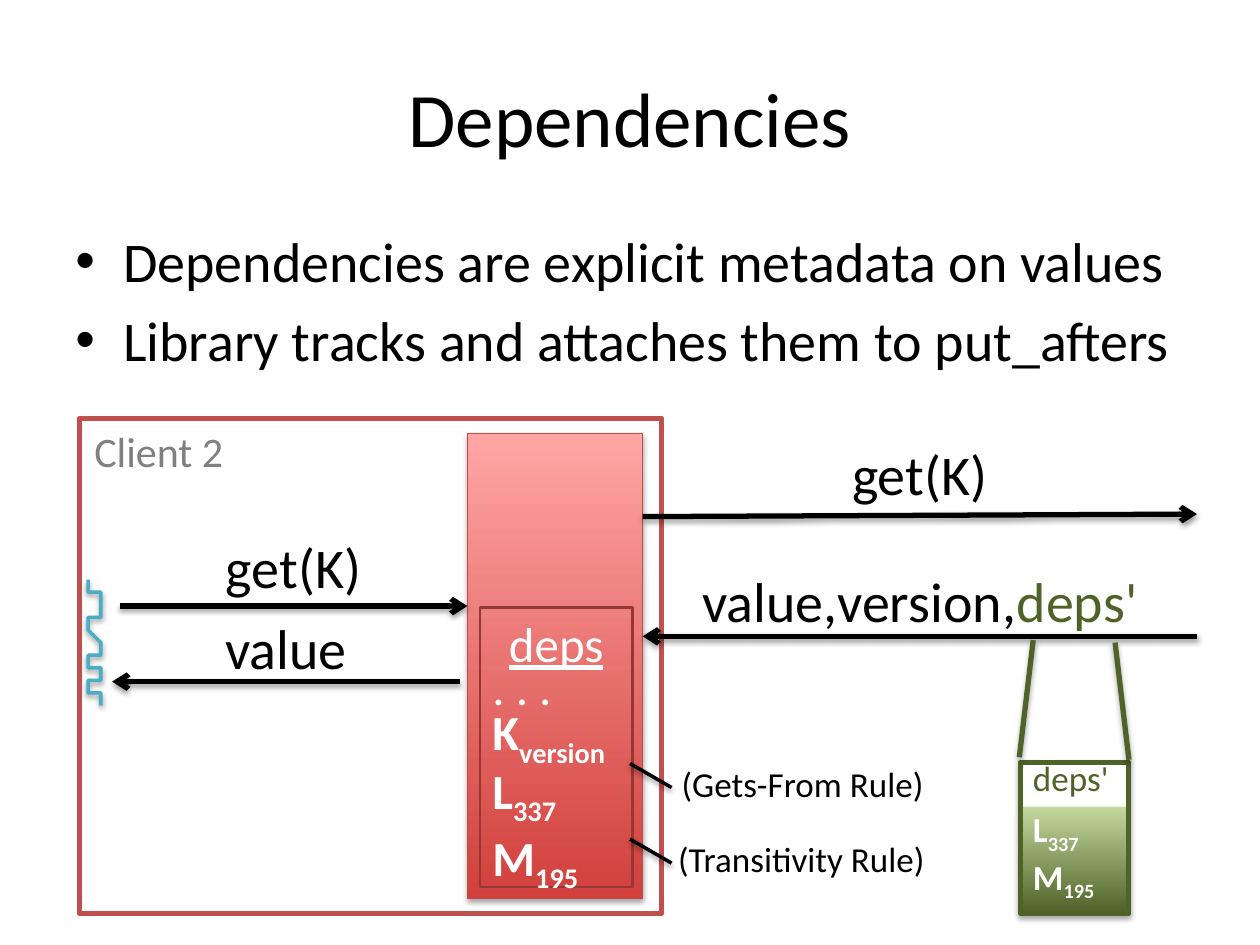
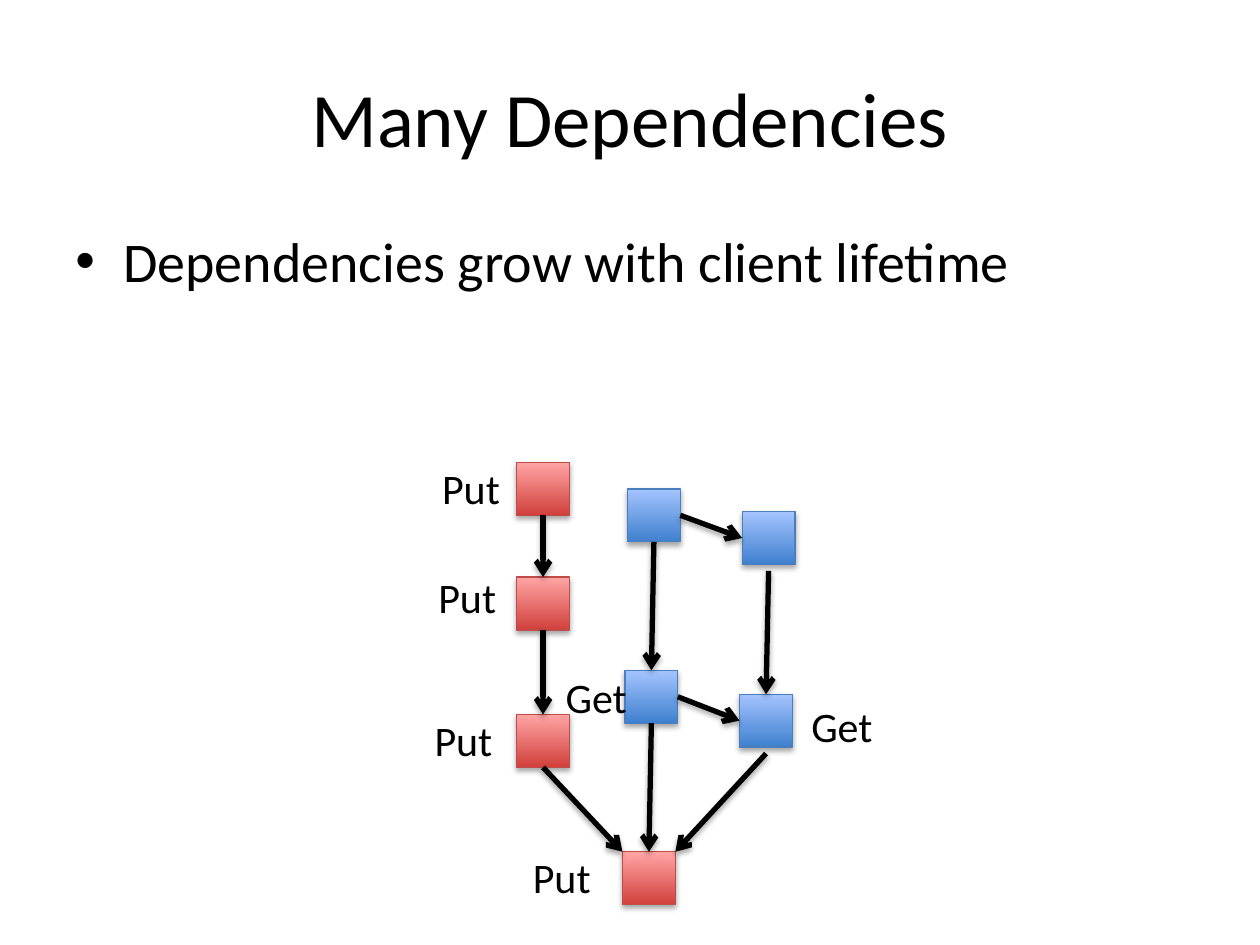
from lxml import etree
from pptx import Presentation
from pptx import util as u
from pptx.dml.color import RGBColor
from pptx.enum import shapes, text
from pptx.oxml.ns import qn

COLORS = {
    "black": "000000", "white": "FFFFFF", "gray": "808080",
    "client": "C0504D", "deps": "953735", "thread": "4BACC6",
    "red_edge": "BF4C48", "red_dark": "D1403C", "red_light": "FFA6A5",
    "blue_edge": "4B7EBC", "blue_dark": "3F80CE", "blue_light": "A4C4FF",
    "green": "4F6228", "green_light": "C3D69B",
}
GRADIENTS = {
    "red": [(0, "red_dark"), (100, "red_light")],
    "blue": [(0, "blue_dark"), (100, "blue_light")],
    "green": [(0, "green"), (70, "green_light"), (71, "white")],
}
FONT = "Calibri"
CENTER = {"alignment": text.PP_ALIGN.CENTER}
LEFT = {"alignment": text.PP_ALIGN.LEFT}
SUB = {"baseline": "-25000"}

presentation = Presentation()
presentation.slide_width = u.Inches(10)
presentation.slide_height = u.Inches(7.5)
COLUMN = presentation.slide_width // 100
ROW = presentation.slide_height // 75


def write(frame, paragraphs, size, color="black", anchor=text.MSO_ANCHOR.TOP):
    frame.word_wrap = True
    frame.vertical_anchor = anchor
    for index, (layout, runs) in enumerate(paragraphs):
        paragraph = frame.paragraphs[0] if index == 0 else frame.add_paragraph()
        for name, value in layout.items():
            setattr(paragraph, name, value)
        for words, extra in runs:
            run = paragraph.add_run()
            run.text = words
            values = {"name": FONT, "size": u.Pt(size), **extra}
            run.font.color.rgb = RGBColor.from_string(COLORS[values.pop("color", color)])
            if "baseline" in values:
                run.font._element.set("baseline", values.pop("baseline"))
            for name, value in values.items():
                setattr(run.font, name, value)


def style(shape, line, width, gradient=None, shadow=35, arrow=False):
    shape.line.color.rgb = RGBColor.from_string(COLORS[line])
    shape.line.width = u.Pt(width)
    properties = shape._element.spPr
    if gradient:
        shape.fill.gradient()
        shape.fill.gradient_angle = 90
        stops = next(properties.iter(qn("a:gsLst")))
        for stop in list(stops):
            stops.remove(stop)
        for position, color in GRADIENTS[gradient]:
            stop = etree.SubElement(stops, qn("a:gs"), pos=str(position * 1000))
            etree.SubElement(stop, qn("a:srgbClr"), val=COLORS[color])
    if arrow:
        etree.SubElement(shape.line._get_or_add_ln(), qn("a:tailEnd"), type="arrow")
    effects = etree.SubElement(properties, qn("a:effectLst"))
    if shadow:
        outer = etree.SubElement(effects, qn("a:outerShdw"), blurRad="40000",
                                 dist="23000" if shadow == 35 else "20000",
                                 dir="5400000", rotWithShape="0")
        color = etree.SubElement(outer, qn("a:srgbClr"), val=COLORS["black"])
        etree.SubElement(color, qn("a:alpha"), val=str(shadow * 1000))


pages = [
    ("Dependencies", ["Dependencies are explicit metadata on values",
                      "Library tracks and attaches them to put_afters"]),
    ("Many Dependencies", ["Dependencies grow with client lifetime"]),
]
slides = []
for heading, bullets in pages:
    slide = presentation.slides.add_slide(presentation.slide_layouts[5])
    slides.append(slide)
    title = slide.shapes.title
    box = {"left": 5 * COLUMN, "top": 3 * ROW, "width": 90 * COLUMN, "height": 12.5 * ROW}
    for name, value in box.items():
        setattr(title, name, int(value))
    write(title.text_frame, [(CENTER, [(heading, {})])], 44, anchor=text.MSO_ANCHOR.MIDDLE)
    body = slide.shapes.add_textbox(5 * COLUMN, int(17.5 * ROW), 90 * COLUMN, int(49.5 * ROW))
    write(body.text_frame, [({"space_before": u.Pt(6.4)}, [(line, {})]) for line in bullets], 32)
    for paragraph in body.text_frame.paragraphs:
        layout = paragraph._p.get_or_add_pPr()
        layout.set("marL", str(u.Inches(0.38)))
        layout.set("indent", str(-u.Inches(0.38)))
        etree.SubElement(layout, qn("a:buFont"), typeface="Arial")
        etree.SubElement(layout, qn("a:buChar"), char="•")

protocol, graph = slides

panels = {}
for name, left, top, width, height, line, weight, gradient, shadow in [
    ("client", 6.3, 33.2, 46.2, 39.3, "client", 3, None, 0),
    ("library", 37.1, 34.4, 13.9, 36.9, "red_edge", 0.75, "red", 35),
    ("deps", 38.1, 48.2, 12.1, 22.2, "deps", 1.5, None, 0),
    ("reply deps", 81, 60.5, 8.6, 12, "green", 3, "green", 35),
]:
    panel = protocol.shapes.add_shape(shapes.MSO_SHAPE.RECTANGLE, int(left * COLUMN), int(top * ROW),
                                      int(width * COLUMN), int(height * ROW))
    style(panel, line, weight, gradient, shadow)
    panels[name] = panel
panels["client"].fill.solid()
panels["client"].fill.fore_color.rgb = RGBColor.from_string(COLORS["white"])
panels["deps"].fill.background()

BOLD = {"bold": True}
tight = {**LEFT, "line_spacing": 0.7}
version, l_entry, m_entry = [
    [(key, BOLD), (number, {**BOLD, **SUB})]
    for key, number in [("K", "version"), ("L", "337"), ("M", "195")]
]
write(panels["deps"].text_frame, [
    (CENTER, [("deps", {"underline": True})]),
    (tight, [(". . .", {})]),
    (tight, version),
    (LEFT, l_entry),
    (LEFT, m_entry),
], 28, "white")
write(panels["reply deps"].text_frame, [
    (tight, [("deps'", {"color": "green"})]),
    ({**LEFT, "line_spacing": 1.2}, l_entry),
    (LEFT, m_entry),
], 20, "white")

for start_x, start_y, end_x, end_y, color, width, shadow, arrow in [
    (9.5, 48.1, 37.1, 48.1, "black", 3, 38, True),
    (36.5, 54.1, 8.9, 54.1, "black", 3, 38, True),
    (51, 41, 95, 40.8, "black", 3, 38, True),
    (95, 50.5, 51, 50.5, "black", 3, 38, True),
    (53.3, 62.5, 50, 60.6, "black", 2, 38, False),
    (53.3, 68.5, 50, 66.6, "black", 2, 38, False),
    (82, 50.8, 80.9, 60.1, "green", 3, 35, False),
    (88.5, 51, 89.6, 60.3, "green", 3, 35, False),
]:
    connector = protocol.shapes.add_connector(
        shapes.MSO_CONNECTOR.STRAIGHT, int(start_x * COLUMN), int(start_y * ROW),
        int(end_x * COLUMN), int(end_y * ROW))
    style(connector, color, width, shadow=shadow, arrow=arrow)

thread = [
    (6.9, 46.5), (7.6, 47.1), (8.4, 47.7), (8.4, 48.2), (8.4, 48.7), (7, 49.1), (6.9, 49.6),
    (6.9, 50.2), (8.2, 50.9), (8.2, 51.4), (8.3, 51.9), (7.1, 52.2), (7.1, 52.6),
    (7.1, 53), (8.1, 53.5), (8.1, 53.8), (8.1, 54.2), (7.1, 54.2), (7.1, 54.5),
    (7, 54.8), (7.4, 55.2), (7.7, 55.5),
]
STEPS = 10
wave = []
for first in range(0, len(thread) - 1, 3):
    for step in range(1, STEPS + 1):
        t = step / STEPS
        weights = [(1 - t) ** 3, 3 * t * (1 - t) ** 2, 3 * t ** 2 * (1 - t), t ** 3]
        wave.append([sum(weight * point[axis] for weight, point in zip(weights, thread[first:first + 4]))
                     for axis in (0, 1)])
builder = protocol.shapes.build_freeform(*thread[0], scale=COLUMN)
builder.add_line_segments(wave, close=False)
squiggle = builder.convert_to_shape()
squiggle.fill.background()
style(squiggle, "thread", 2, shadow=38)

labels = [
    (protocol, 9.5, 41.8, 27.6, 6.4, 32, "black", CENTER, [("get(K)", {})]),
    (protocol, 8.9, 48.2, 27.6, 6.4, 32, "black", CENTER, [("value", {})]),
    (protocol, 51, 34.4, 44, 6.4, 32, "black", CENTER, [("get(K)", {})]),
    (protocol, 51, 44.5, 44, 6.4, 32, "black", CENTER,
     [("value,version,", {}), ("deps'", {"color": "green"})]),
    (protocol, 52.8, 60, 21.8, 4.4, 20, "black", CENTER, [("(Gets-From Rule)", {})]),
    (protocol, 52.7, 66, 21.8, 4.4, 20, "black", CENTER, [("(Transitivity Rule)", {})]),
    (protocol, 6.5, 33.3, 18.7, 5, 24, "gray", LEFT, [("Client 2", {})]),
]

SIDE = 4.2
nodes = {
    "put 1": (41, 36.7, "red"), "put 2": (41, 45.8, "red"),
    "put 3": (41, 56.7, "red"), "last put": (49.4, 67.6, "red"),
    "get 1": (49.8, 38.8, "blue"), "get 2": (58.9, 40.6, "blue"),
    "get 3": (49.6, 53.2, "blue"), "get 4": (58.7, 55.1, "blue"),
}
for left, top, hue in nodes.values():
    square = graph.shapes.add_shape(shapes.MSO_SHAPE.RECTANGLE, int(left * COLUMN), int(top * ROW),
                                    int(SIDE * COLUMN), int(SIDE * ROW))
    style(square, hue + "_edge", 0.75, hue)

anchors = {"top": (0.5, 0), "bottom": (0.5, 1), "left": (0, 0.5), "right": (1, 0.5),
           "top left": (0, 0), "top right": (1, 0), "below": (0.5, 1.12)}
for source, exit_side, target, entry_side in [
    ("put 1", "bottom", "put 2", "top"),
    ("put 2", "bottom", "put 3", "top"),
    ("put 3", "bottom", "last put", "top left"),
    ("get 1", "bottom", "get 3", "top"),
    ("get 3", "bottom", "last put", "top"),
    ("get 1", "right", "get 2", "left"),
    ("get 3", "right", "get 4", "left"),
    ("get 2", "below", "get 4", "top"),
    ("get 4", "below", "last put", "top right"),
]:
    ends = []
    for node, side in [(source, exit_side), (target, entry_side)]:
        left, top, hue = nodes[node]
        across, down = anchors[side]
        ends += [int((left + across * SIDE) * COLUMN), int((top + down * SIDE) * ROW)]
    connector = graph.shapes.add_connector(shapes.MSO_CONNECTOR.STRAIGHT, *ends)
    style(connector, "black", 3, arrow=True)

labels += [
    (graph, left, top, 7.2, 5, 24, "black", LEFT, [(word, {})])
    for word, left, top in [
        ("Put", 34.1, 36.2), ("Put", 33.8, 44.9), ("Put", 33.5, 56.2),
        ("Put", 41.3, 67.1), ("Get", 43.9, 52.8), ("Get", 63.4, 55.1),
    ]
]
for slide, left, top, width, height, size, color, layout, runs in labels:
    label = slide.shapes.add_textbox(int(left * COLUMN), int(top * ROW),
                                     int(width * COLUMN), int(height * ROW))
    write(label.text_frame, [(layout, runs)], size, color)

presentation.save("out.pptx")
